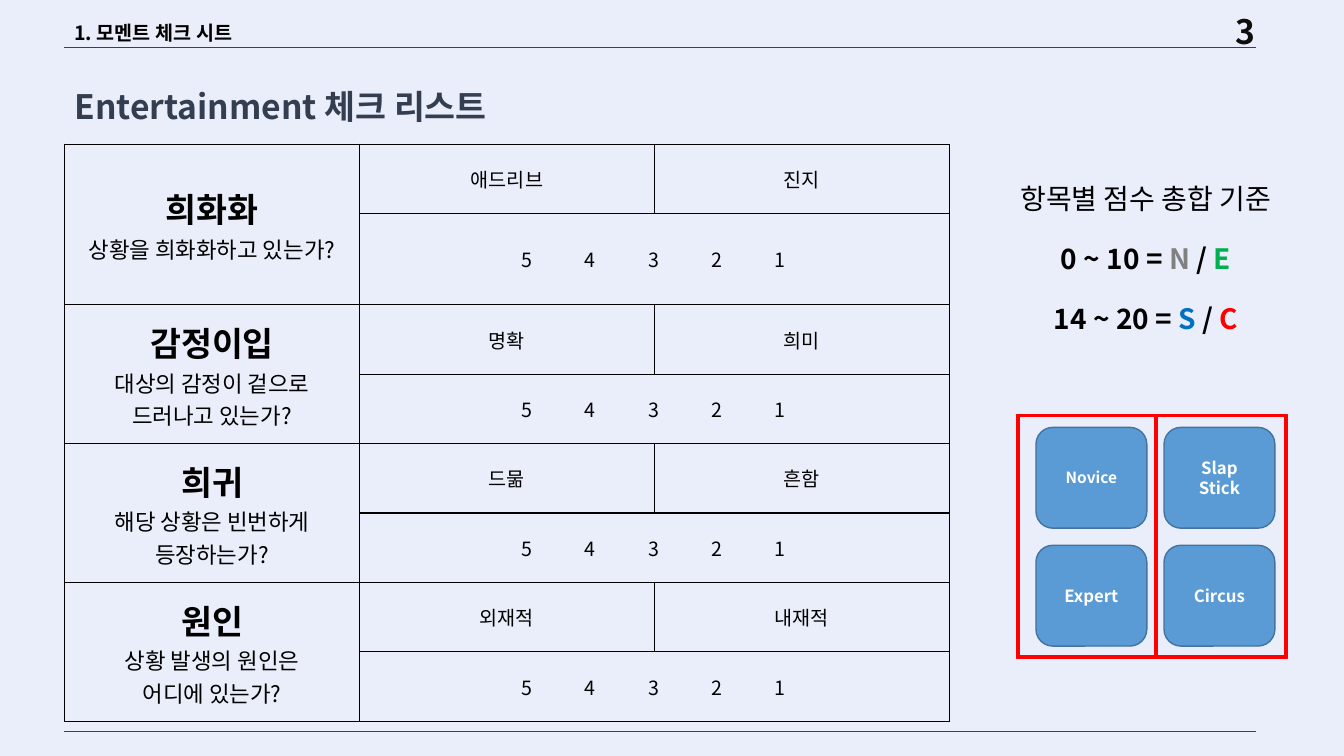
from lxml import etree
from pptx import Presentation
from pptx.dml.color import RGBColor
from pptx.enum.shapes import MSO_CONNECTOR, MSO_SHAPE
from pptx.enum.text import MSO_ANCHOR, MSO_AUTO_SIZE, PP_ALIGN
from pptx.oxml.ns import qn
from pptx.util import Pt

LEFT, CENTER = PP_ALIGN.LEFT, PP_ALIGN.CENTER
TOP, MIDDLE = MSO_ANCHOR.TOP, MSO_ANCHOR.MIDDLE
NO_FIT = MSO_AUTO_SIZE.NONE
ROUNDED, FRAME = MSO_SHAPE.ROUNDED_RECTANGLE, MSO_SHAPE.FRAME
STRAIGHT = MSO_CONNECTOR.STRAIGHT
TITLE_ONLY = 5

CHECKS = [
    ("희화화", ["상황을 희화화하고 있는가?"], "애드리브", "진지"),
    ("감정이입", ["대상의 감정이 겉으로", "드러나고 있는가?"], "명확", "희미"),
    ("희귀", ["해당 상황은 빈번하게", "등장하는가?"], "드묾", "흔함"),
    ("원인", ["상황 발생의 원인은", "어디에 있는가?"], "외재적", "내재적"),
]
SCORES = "54321"
LEVELS = [[("Novice", 11), ("Slap\nStick", 12)], [("Expert", 12), ("Circus", 12)]]


def color(value):
    return RGBColor.from_string(value)


class Sheet:
    font = "Noto Sans CJK KR"
    black, rule_color, red = "000000", "404040", "FF0000"
    box_fill, box_line = "5B9BD5", "43739E"

    def __init__(self, slide):
        self.slide = slide
        slide.background.fill.solid()
        slide.background.fill.fore_color.rgb = color("EAEEFA")

    def style(self, r, size, fill=black, bold=False):
        r.font.size, r.font.bold, r.font.name = Pt(size), bold, self.font
        r.font.color.rgb = color(fill)
        etree.SubElement(r.font._element, qn("a:ea"), typeface=self.font)

    def set_text(self, tf, text, size, fill=black, bold=False, align=CENTER):
        tf.text = text
        for p in tf.paragraphs:
            p.alignment = align
            for r in p.runs:
                self.style(r, size, fill, bold)

    def setup(self, sp, box, anchor):
        """Place a text shape and give it the common frame settings."""
        sp.left, sp.top, sp.width, sp.height = map(Pt, box)
        tf = sp.text_frame
        tf.word_wrap, tf.auto_size, tf.vertical_anchor = True, NO_FIT, anchor
        tf.margin_left = tf.margin_right = Pt(7.2)
        tf.margin_top = tf.margin_bottom = Pt(3.6)
        return tf

    def title(self, text, box, size, fill):
        tf = self.setup(self.slide.shapes.title, box, MIDDLE)
        self.set_text(tf, text, size, fill, True, LEFT)
        tf.paragraphs[0].line_spacing = 1.5

    def label(self, text, box, size, fill=black, align=LEFT, anchor=MIDDLE, spacing=1.0):
        sp = self.slide.shapes.add_textbox(*map(Pt, box))
        tf = self.setup(sp, box, anchor)
        self.set_text(tf, text, size, fill, True, align)
        tf.paragraphs[0].line_spacing = spacing

    def criteria(self, lines, box, size, gap):
        """Add centred lines made of (text, colour, bold) parts."""
        sp = self.slide.shapes.add_textbox(*map(Pt, box))
        tf = self.setup(sp, box, TOP)
        for i, parts in enumerate(lines):
            p = tf.add_paragraph() if i else tf.paragraphs[0]
            p.alignment = CENTER
            if i:
                p.space_before = Pt(gap)
            for text, fill, bold in parts:
                r = p.add_run()
                r.text = text
                self.style(r, size, fill, bold)

    def rule(self, x1, x2, y):
        line = self.slide.shapes.add_connector(STRAIGHT, Pt(x1), Pt(y), Pt(x2), Pt(y))
        line.line.color.rgb = color(self.rule_color)
        line.line.width = Pt(0.5)
        etree.SubElement(line._element.spPr, qn("a:effectLst"))

    def shape(self, kind, box, fill, line):
        sp = self.slide.shapes.add_shape(kind, *map(Pt, box))
        sp.shadow.inherit = False
        sp.fill.solid()
        sp.fill.fore_color.rgb = color(fill)
        sp.line.color.rgb = color(line)
        sp.line.width = Pt(1)
        return sp

    def level(self, text, box, size):
        sp = self.shape(ROUNDED, box, self.box_fill, self.box_line)
        self.set_text(self.setup(sp, box, MIDDLE), text, size, "FFFFFF", True)

    def frame(self, box):
        self.shape(FRAME, box, self.red, self.red).adjustments[0] = 0.016

    def border(self, cell):
        cell.fill.background()
        tcPr = cell._tc.get_or_add_tcPr()
        for i, side in enumerate(("lnL", "lnR", "lnT", "lnB")):
            ln = etree.Element(qn("a:" + side), w=str(Pt(1)))
            fill = etree.SubElement(ln, qn("a:solidFill"))
            etree.SubElement(fill, qn("a:srgbClr"), val=self.black)
            tcPr.insert(i, ln)

    def scale(self, cell, first, step):
        """Set the scores at evenly spaced centre tabs."""
        cell.text = "".join("\t" + score for score in SCORES)
        p = cell.text_frame.paragraphs[0]
        tabs = etree.SubElement(p._p.get_or_add_pPr(), qn("a:tabLst"))
        for i in range(len(SCORES)):
            pos = Pt(first + i * step)
            etree.SubElement(tabs, qn("a:tab"), pos=str(pos), algn="ctr")
        p.alignment = LEFT
        self.style(p.runs[0], 14)

    def check_table(self, box):
        gf = self.slide.shapes.add_table(2 * len(CHECKS), 3, *map(Pt, box))
        table = gf.table
        table.first_row = table.horz_banding = False
        for column in table.columns:
            column.width = Pt(box[2] / 3)
        for i, row in enumerate(table.rows):
            row.height = Pt(55 if i == 1 else 49.6)
        for cell in table.iter_cells():
            self.border(cell)
            cell.vertical_anchor = MIDDLE
        for i, (name, question, high, low) in enumerate(CHECKS):
            top = 2 * i
            topic = table.cell(top, 0)
            topic.merge(table.cell(top + 1, 0))
            self.set_text(topic.text_frame, "\n".join([name, *question]), 16)
            heading = topic.text_frame.paragraphs[0].runs[0]
            heading.font.size, heading.font.bold = Pt(24), True
            for col, text in ((1, high), (2, low)):
                self.set_text(table.cell(top, col).text_frame, text, 14)
            scores = table.cell(top + 1, 1)
            scores.merge(table.cell(top + 1, 2))
            self.scale(scores, 112.2, 45.3)


def main():
    prs = Presentation()
    prs.slide_width, prs.slide_height = Pt(960), Pt(540)
    s = Sheet(prs.slides.add_slide(prs.slide_layouts[TITLE_ONLY]))

    s.label("3", (831.6, 4.3, 116, 29), 24, "0D0D0D", CENTER, TOP)
    for y in (33.8, 522.5):
        s.rule(46, 897, y)
    s.title("Entertainment 체크 리스트", (46, 43.2, 323, 51), 24, "333F50")
    s.label("1. 모멘트 체크 시트", (46, 4.3, 228, 29.5), 14, spacing=1.5)
    s.check_table((46.1, 103, 632.1, 402.2))

    black = s.black
    s.criteria([
        [("항목별 점수 총합 기준", black, False)],
        [("0 ~ 10 = ", black, True), ("N ", "808080", True),
         ("/ ", black, True), ("E", "00B050", True)],
        [("14 ~ 20 = ", black, True), ("S ", "0070C0", True),
         ("/ ", black, True), ("C", s.red, True)],
    ], (710, 126, 217, 128), 20, 19)

    for row, levels in enumerate(LEVELS):
        for col, (text, size) in enumerate(levels):
            s.level(text, (740 + 91.5 * col, 305.3 + 84.2 * row, 79.2, 72), size)
    for x, width in ((726.5, 100), (825, 94.3)):
        s.frame((x, 296, width, 174.2))

    prs.save("out.pptx")


if __name__ == "__main__":
    main()
